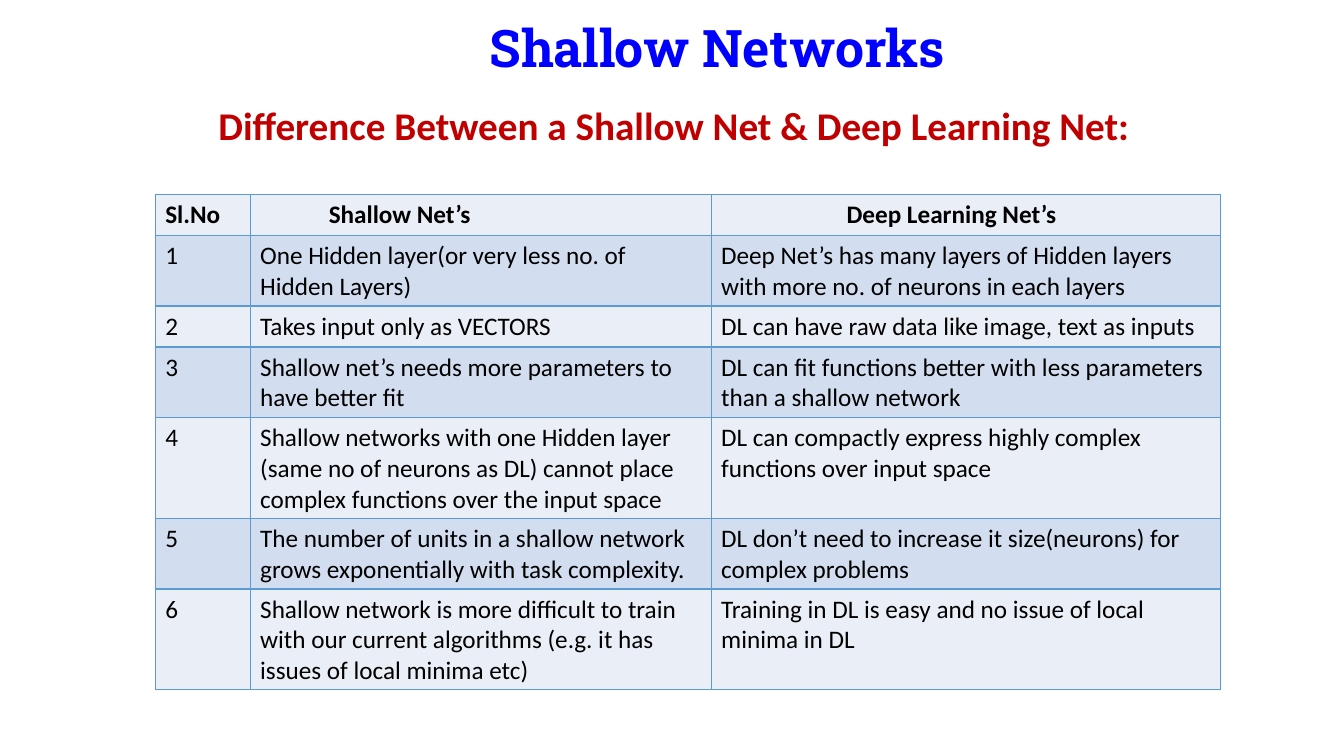
from dataclasses import dataclass

from lxml.etree import SubElement
from pptx import Presentation
from pptx.dml.color import RGBColor as Rgb
from pptx.enum.text import MSO_ANCHOR as Anchor, MSO_AUTO_SIZE as AutoSize, PP_ALIGN as Align
from pptx.oxml.ns import qn
from pptx.table import Table, _Cell as Cell
from pptx.text.text import TextFrame
from pptx.util import Pt


@dataclass(frozen=True)
class Theme:
    title_font: str = "Roboto Slab"
    body_font: str = "Calibri"
    title_size: float = 37
    subtitle_size: float = 28
    table_size: float = 18
    title_color: str = "0000FF"
    subtitle_color: str = "C00000"
    text_color: str = "000000"
    border_color: str = "5B9BD5"
    row_fills: tuple[str, str] = ("EAEFF7", "D2DEEF")
    border_width: float = 1


@dataclass(frozen=True)
class Box:
    left: float
    top: float
    width: float
    height: float

    def points(self) -> tuple[Pt, Pt, Pt, Pt]:
        return Pt(self.left), Pt(self.top), Pt(self.width), Pt(self.height)


@dataclass(frozen=True)
class Column:
    heading: str
    width: float
    heading_indent: float


@dataclass(frozen=True)
class Difference:
    shallow: str
    deep: str


THEME = Theme()
TITLE_BOX = Box(123.8, 11.5, 776.9, 49)
SUBTITLE_BOX = Box(149, 69.1, 672.5, 41)
TABLE_BOX = Box(110.9, 139, 761, 204.4)

COLUMNS = [
    Column("Sl.No", 67.8, 7.2),
    Column("Shallow Net’s", 329.3, 56.2),
    Column("Deep Learning Net’s", 363.9, 96.8),
]

DIFFERENCES = [
    Difference("One Hidden layer(or very less no. of Hidden Layers)",
               "Deep Net’s has many layers of Hidden layers with more no. of neurons in each layers"),
    Difference("Takes input only as VECTORS",
               "DL can have raw data like image, text as inputs"),
    Difference("Shallow net’s needs more parameters to have better fit",
               "DL can fit functions better with less parameters than a shallow network"),
    Difference("Shallow networks with one Hidden layer (same no of neurons as DL) "
               "cannot place complex functions over the input space",
               "DL can compactly express highly complex functions over input space"),
    Difference("The number of units in a shallow network grows exponentially with task complexity.",
               "DL don’t need to increase it size(neurons) for complex problems"),
    Difference("Shallow network is more difficult to train with our current algorithms "
               "(e.g. it has issues of local minima etc)",
               "Training in DL is easy and no issue of local minima in DL"),
]


def write_text(frame: TextFrame, text: str, color: str, name: str, size: float, bold: bool) -> None:
    frame.text = text
    font = frame.paragraphs[0].runs[0].font
    for key, value in {"name": name, "size": Pt(size), "bold": bold}.items():
        setattr(font, key, value)
    font.color.rgb = Rgb.from_string(color)


def add_borders(cell: Cell) -> None:
    """Outline a cell; must run before its fill is set, as the schema puts lines first."""
    properties = cell._tc.get_or_add_tcPr()
    for side in ("a:lnL", "a:lnR", "a:lnT", "a:lnB"):
        line = SubElement(properties, qn(side), w=str(Pt(THEME.border_width)))
        fill = SubElement(line, qn("a:solidFill"))
        SubElement(fill, qn("a:srgbClr"), val=THEME.border_color)


def fill_row(table: Table, row: int, texts: list[str]) -> None:
    heading = row == 0
    for index, text in enumerate(texts):
        cell = table.cell(row, index)
        add_borders(cell)
        cell.fill.solid()
        cell.fill.fore_color.rgb = Rgb.from_string(THEME.row_fills[row % 2])
        cell.vertical_anchor = Anchor.MIDDLE if heading else Anchor.TOP
        if heading:
            cell.margin_left = Pt(COLUMNS[index].heading_indent)
        write_text(cell.text_frame, text, THEME.text_color,
                   THEME.body_font, THEME.table_size, heading)


def main() -> None:
    deck = Presentation()
    deck.slide_width, deck.slide_height = Pt(960), Pt(540)
    page = deck.slides.add_slide(deck.slide_layouts[5])

    title = page.shapes.title
    title.left, title.top, title.width, title.height = TITLE_BOX.points()
    frame = title.text_frame
    write_text(frame, "Shallow Networks", THEME.title_color,
               THEME.title_font, THEME.title_size, True)
    for key, value in {"vertical_anchor": Anchor.MIDDLE, "auto_size": AutoSize.NONE,
                       "word_wrap": True}.items():
        setattr(frame, key, value)
    para = frame.paragraphs[0]
    para.alignment, para.line_spacing = Align.CENTER, 0.9
    para.runs[0]._r.get_or_add_rPr().set("spc", "-10")

    subtitle = page.shapes.add_textbox(*SUBTITLE_BOX.points()).text_frame
    subtitle.word_wrap, subtitle.auto_size = True, AutoSize.SHAPE_TO_FIT_TEXT
    write_text(subtitle, "Difference Between a Shallow Net & Deep Learning Net:",
               THEME.subtitle_color, THEME.body_font, THEME.subtitle_size, True)

    rows = [[column.heading for column in COLUMNS]]
    rows += [[str(number), item.shallow, item.deep]
             for number, item in enumerate(DIFFERENCES, start=1)]
    table = page.shapes.add_table(len(rows), len(COLUMNS), *TABLE_BOX.points()).table
    for table_column, column in zip(table.columns, COLUMNS):
        table_column.width = Pt(column.width)
    for row, texts in enumerate(rows):
        fill_row(table, row, texts)

    deck.save("out.pptx")


if __name__ == "__main__":
    main()
